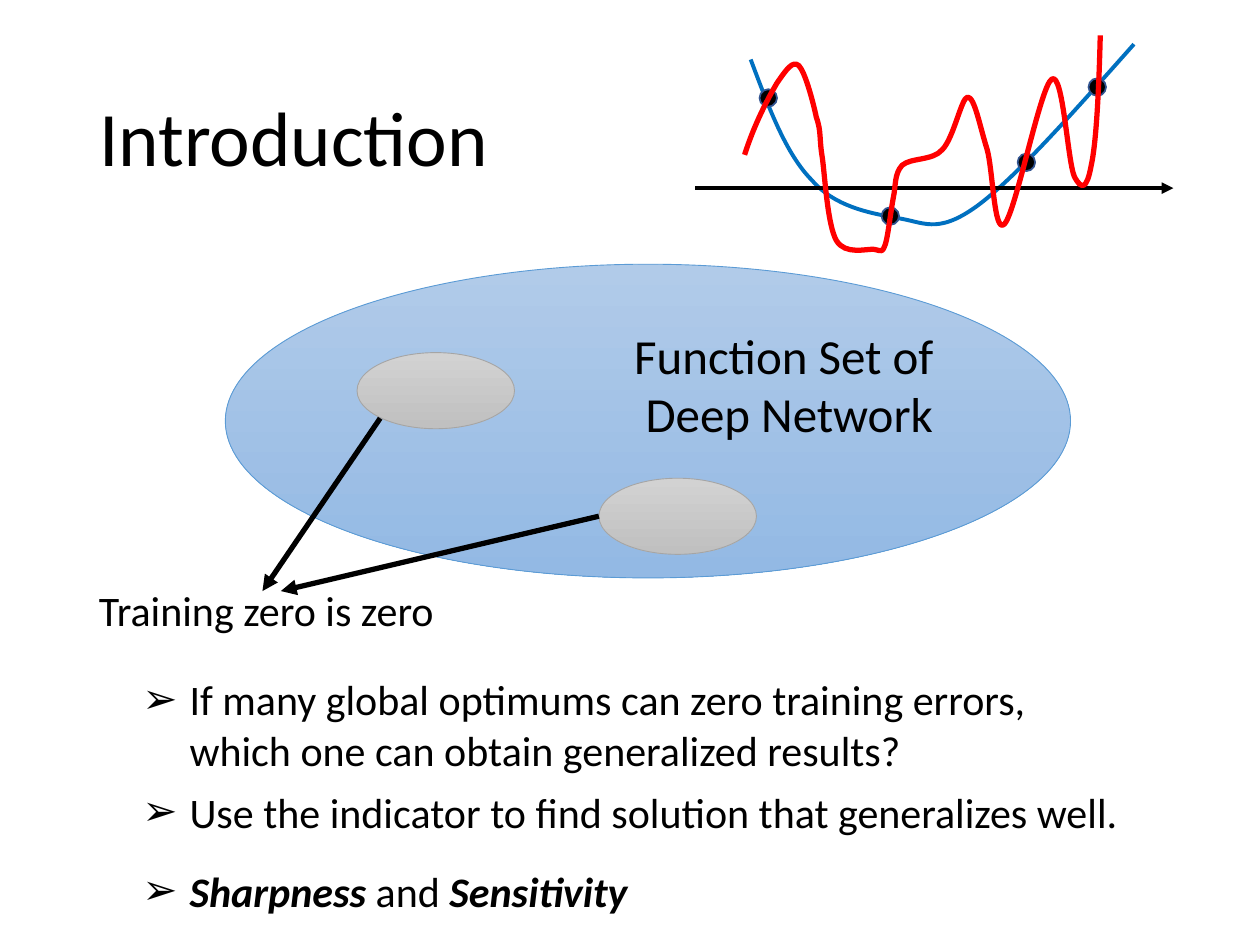
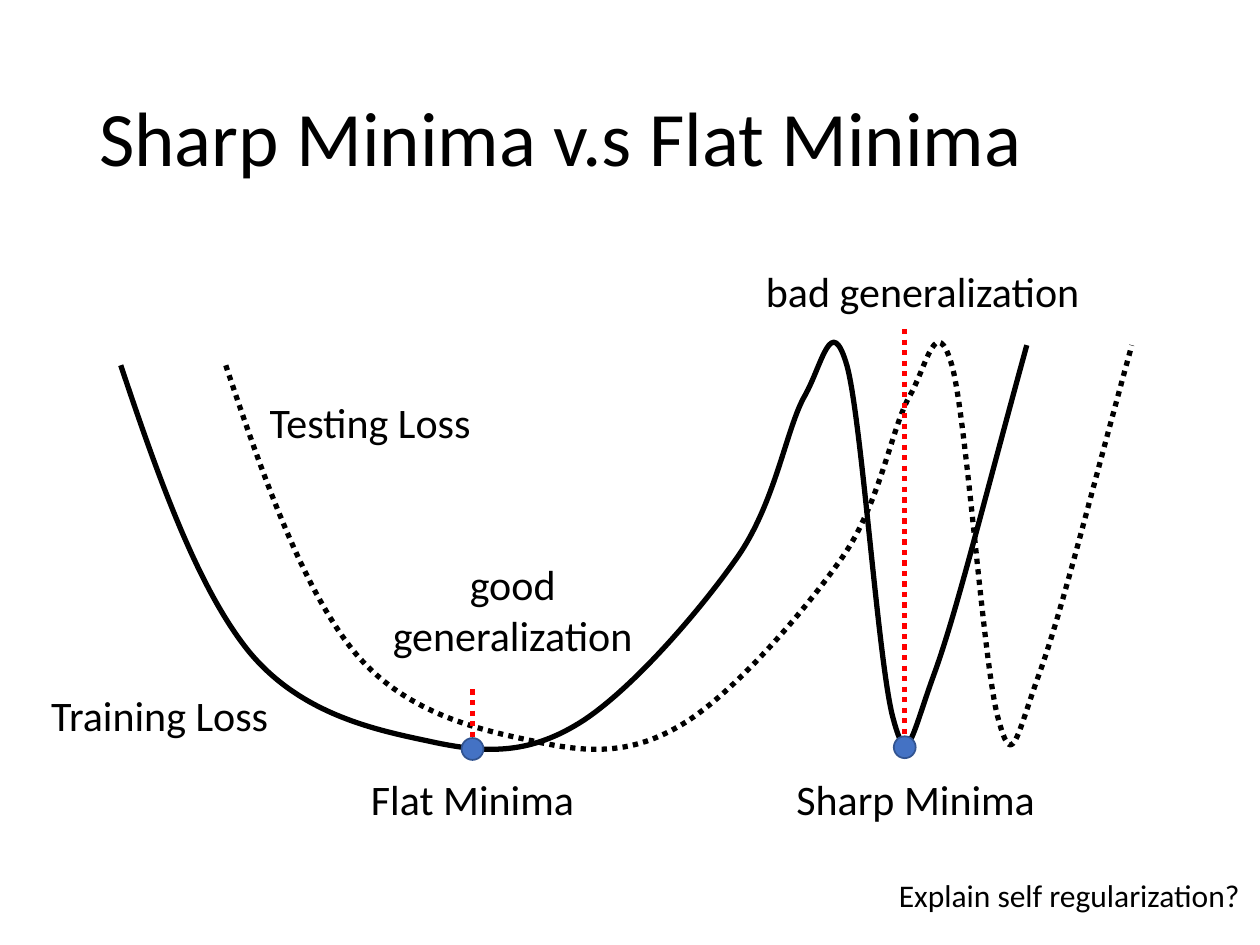
"""Build two slides on generalization and on sharp and flat minima."""
from lxml import etree
from pptx import Presentation
from pptx import util as u
from pptx.dml.color import RGBColor
from pptx.enum import dml, shapes, text
from pptx.oxml import ns

Pt = u.Pt
FONT = "Calibri"
COLOURS = {
    "ink": "000000", "red": "FF0000", "smooth": "0070C0", "minimum": "4472C4", "dot_edge": "325491",
    "set_top": "B1CBE9", "set_bottom": "93B9E4", "set_edge": "5B9BD5",
    "region_top": "D2D2D2", "region_bottom": "C0C0C0", "region_edge": "A5A5A5",
}
LEFT, CENTER, RIGHT = text.PP_ALIGN.LEFT, text.PP_ALIGN.CENTER, text.PP_ALIGN.RIGHT

TITLE_BOX = (49.5, 28.75, 621, 104.37)
FUNCTION_SET = (128.75, 151, 483, 179.25)
REGION_SIZE = (90, 43.5)
REGIONS = [
    {"at": (204, 201.5), "site": 3, "start": (217.25, 239), "end": (150, 337.75)},
    {"at": (342.25, 273.25), "site": 2, "start": (342.25, 295), "end": (160.5, 337.75)},
]
INTRODUCTION_LABELS = [
    (["Function Set of ", "Deep Network"], (341.25, 182.25, 219.5, 75), 28, CENTER),
    (["Training zero is zero"], (49.5, 330.5, 237.5, 36), 24, LEFT),
]
QUESTIONS = [
    ([("If many global optimums can zero training errors, which one can obtain generalized results?", False)],
     (74.25, 381.5, 537, 65.5)),
    ([("Use the indicator to find solution that generalizes well.", False)], (74.25, 445.75, 642, 36)),
    ([("Sharpness ", True), ("and ", False), ("Sensitivity", True)], (74.25, 490.75, 642, 36)),
]
AXIS = ((397.25, 107.5), (670.5, 107.5))
SAMPLES = [(439, 56), (508.75, 123.5), (586.5, 92.75), (627, 49.75)]
SMOOTH_FIT = [
    (429, 34), (439, 60.5), (449, 88), (464, 103), (477, 118), (496, 121.5), (512, 124.5),
    (527.5, 126.5), (535, 134.5), (558, 118), (580, 102), (614, 63.5), (648, 25.25),
]
WILD_FIT = [
    (425.5, 88.5), (431, 71), (439, 56), (444, 47.5), (449.5, 39.5), (453, 34.5), (456.5, 37.5),
    (460, 41), (464.5, 57.5), (466.5, 67), (469.5, 75.5), (468, 79), (470, 90.5),
    (471.5, 102), (473, 129), (478, 137.5), (483, 146), (495.5, 142), (499.5, 142.5),
    (504.5, 143.5), (504, 144.5), (506, 139.5), (507.5, 134.5), (509, 121), (510.5, 113),
    (512, 106), (511, 99.5), (515.5, 94.5), (520.5, 90), (533, 92), (538.5, 85.5),
    (545, 79), (549.5, 55.5), (553, 55.5), (557, 55.5), (560, 72.5), (564, 85),
    (567.5, 97), (568, 134.5), (574, 128), (580.5, 121.5), (594.5, 49.5), (601, 45.25),
    (607.5, 40.5), (610, 92), (614, 101), (618, 108.5), (621, 108.5), (623.5, 95),
    (626.5, 82), (628, 51), (628.75, 20.25),
]

TRAINING_LOSS = [
    (69, 208.75), (90.5, 273), (113, 336), (142, 372), (171.5, 408), (214, 417), (245, 423.5),
    (276.5, 430.5), (301, 431.5), (330.5, 413.5), (360, 395.5), (400.5, 348.5), (422, 317.5),
    (443.5, 286), (449.5, 244), (460, 226), (470, 208), (475, 178), (484, 209),
    (492.5, 240), (502, 381.5), (510.5, 411), (518.5, 440.5), (520.5, 422), (533.5, 386),
    (546.5, 350.5), (561, 291), (586.75, 197.25),
]
TESTING_SHIFT = 60
MINIMA = [
    {"center": (270, 428), "gap": ((270, 394), (270, 421.25))},
    {"center": (517, 427), "gap": ((517, 188), (517, 422))},
]
MINIMA_LABELS = [
    (["Flat Minima"], (161.25, 438.5, 217.5, 36), 24, CENTER),
    (["Sharp Minima"], (414.5, 438.5, 217.5, 36), 24, CENTER),
    (["Training Loss"], (-17.5, 390.75, 217.5, 36), 24, CENTER),
    (["Testing Loss"], (102.75, 223, 217.5, 36), 24, CENTER),
    (["good generalization"], (210.25, 315.75, 165.5, 65.5), 24, CENTER),
    (["bad generalization"], (388, 148.25, 278.5, 36), 24, CENTER),
    (["Explain self regularization?"], (432.5, 496.75, 283, 29), 18, RIGHT),
]


def rgb(name):
    return RGBColor.from_string(COLOURS[name])


def points(lengths):
    return [Pt(length) for length in lengths]


def style_line(line, colour, width, dotted=False):
    line.color.rgb = rgb(colour)
    line.width = Pt(width)
    if dotted:
        line.dash_style = dml.MSO_LINE.ROUND_DOT


def style_font(paragraph, size):
    paragraph.font.name = FONT
    paragraph.font.size = Pt(size)
    paragraph.font.color.rgb = rgb("ink")


def add_titled_slide(presentation, title):
    slide = presentation.slides.add_slide(presentation.slide_layouts[5])
    shape = slide.shapes.title
    shape.left, shape.top, shape.width, shape.height = points(TITLE_BOX)
    frame = shape.text_frame
    frame.text = title
    frame.auto_size = text.MSO_AUTO_SIZE.NONE
    frame.vertical_anchor = text.MSO_ANCHOR.MIDDLE
    paragraph = frame.paragraphs[0]
    paragraph.alignment = LEFT
    paragraph.line_spacing = 0.9
    style_font(paragraph, 44)
    return slide


def add_frame(slide, box):
    frame = slide.shapes.add_textbox(*points(box)).text_frame
    frame.word_wrap = True
    frame.auto_size = text.MSO_AUTO_SIZE.SHAPE_TO_FIT_TEXT
    return frame


def add_label(slide, lines, box, size, alignment):
    frame = add_frame(slide, box)
    frame.text = "\n".join(lines)
    for paragraph in frame.paragraphs:
        paragraph.alignment = alignment
        style_font(paragraph, size)


def add_question(slide, runs, box):
    paragraph = add_frame(slide, box).paragraphs[0]
    properties = paragraph._p.get_or_add_pPr()
    properties.set("marL", str(Pt(27)))
    properties.set("indent", str(-Pt(27)))
    etree.SubElement(properties, ns.qn("a:buFont")).set("typeface", FONT)
    etree.SubElement(properties, ns.qn("a:buChar")).set("char", "➢")
    style_font(paragraph, 24)
    for words, emphasis in runs:
        run = paragraph.add_run()
        run.text = words
        if emphasis:
            run.font.bold = run.font.italic = True


def add_oval(slide, box, fills, edge, edge_width):
    oval = slide.shapes.add_shape(shapes.MSO_SHAPE.OVAL, *points(box))
    oval.shadow.inherit = False
    if len(fills) == 1:
        oval.fill.solid()
        oval.fill.fore_color.rgb = rgb(fills[0])
    else:
        oval.fill.gradient()
        oval.fill.gradient_angle = 270
        for stop, colour in zip(oval.fill.gradient_stops, fills):
            stop.color.rgb = rgb(colour)
    style_line(oval.line, edge, edge_width)
    return oval


def add_dot(slide, center, size, fill):
    x, y = center
    add_oval(slide, (x - size / 2, y - size / 2, size, size), [fill], "dot_edge", 1)


def add_line(slide, start, end, colour, width, dotted=False, arrow=False):
    connector = slide.shapes.add_connector(shapes.MSO_CONNECTOR.STRAIGHT, *points(start + end))
    style_line(connector.line, colour, width, dotted)
    if arrow:
        etree.SubElement(connector.line._get_or_add_ln(), ns.qn("a:tailEnd")).set("type", "triangle")
    etree.SubElement(connector._element.spPr, ns.qn("a:effectLst"))
    return connector


def add_curve(slide, controls, colour, width, dotted=False):
    """Draw chained cubic curves; every third point is an end point."""
    start, *ends = [points(point) for point in controls[::3]]
    builder = slide.shapes.build_freeform(*start)
    builder.add_line_segments(ends, close=False)
    curve = builder.convert_to_shape()
    segments = list(curve._element.iter(ns.qn("a:lnTo")))
    for index, segment in enumerate(segments):
        bezier = etree.Element(ns.qn("a:cubicBezTo"))
        for x, y in controls[3 * index + 1:3 * index + 4]:
            point = etree.SubElement(bezier, ns.qn("a:pt"))
            point.set("x", str(Pt(x) - curve.left))
            point.set("y", str(Pt(y) - curve.top))
        segment.getparent().replace(segment, bezier)
    curve.shadow.inherit = False
    curve.fill.background()
    style_line(curve.line, colour, width, dotted)


def build_introduction(presentation):
    slide = add_titled_slide(presentation, "Introduction")
    add_curve(slide, SMOOTH_FIT, "smooth", 2.25)
    add_oval(slide, FUNCTION_SET, ["set_top", "set_bottom"], "set_edge", 0.5)
    for label in INTRODUCTION_LABELS:
        add_label(slide, *label)
    for region in REGIONS:
        oval = add_oval(slide, region["at"] + REGION_SIZE, ["region_top", "region_bottom"], "region_edge", 0.5)
        arrow = add_line(slide, region["start"], region["end"], "ink", 3, arrow=True)
        arrow.begin_connect(oval, region["site"])
        arrow.begin_x, arrow.begin_y = points(region["start"])
    for question in QUESTIONS:
        add_question(slide, *question)
    add_line(slide, *AXIS, "ink", 2.25, arrow=True)
    for sample in SAMPLES:
        add_dot(slide, sample, 10, "ink")
    add_curve(slide, WILD_FIT, "red", 3)


def build_minima(presentation):
    slide = add_titled_slide(presentation, "Sharp Minima v.s Flat Minima")
    add_curve(slide, TRAINING_LOSS, "ink", 3)
    add_curve(slide, [(x + TESTING_SHIFT, y) for x, y in TRAINING_LOSS], "ink", 3, dotted=True)
    for minimum in MINIMA:
        add_dot(slide, minimum["center"], 12.5, "minimum")
        add_line(slide, *minimum["gap"], "red", 3, dotted=True)
    for label in MINIMA_LABELS:
        add_label(slide, *label)


def main():
    presentation = Presentation()
    presentation.slide_width, presentation.slide_height = Pt(720), Pt(540)
    build_introduction(presentation)
    build_minima(presentation)
    presentation.save("out.pptx")


if __name__ == "__main__":
    main()
